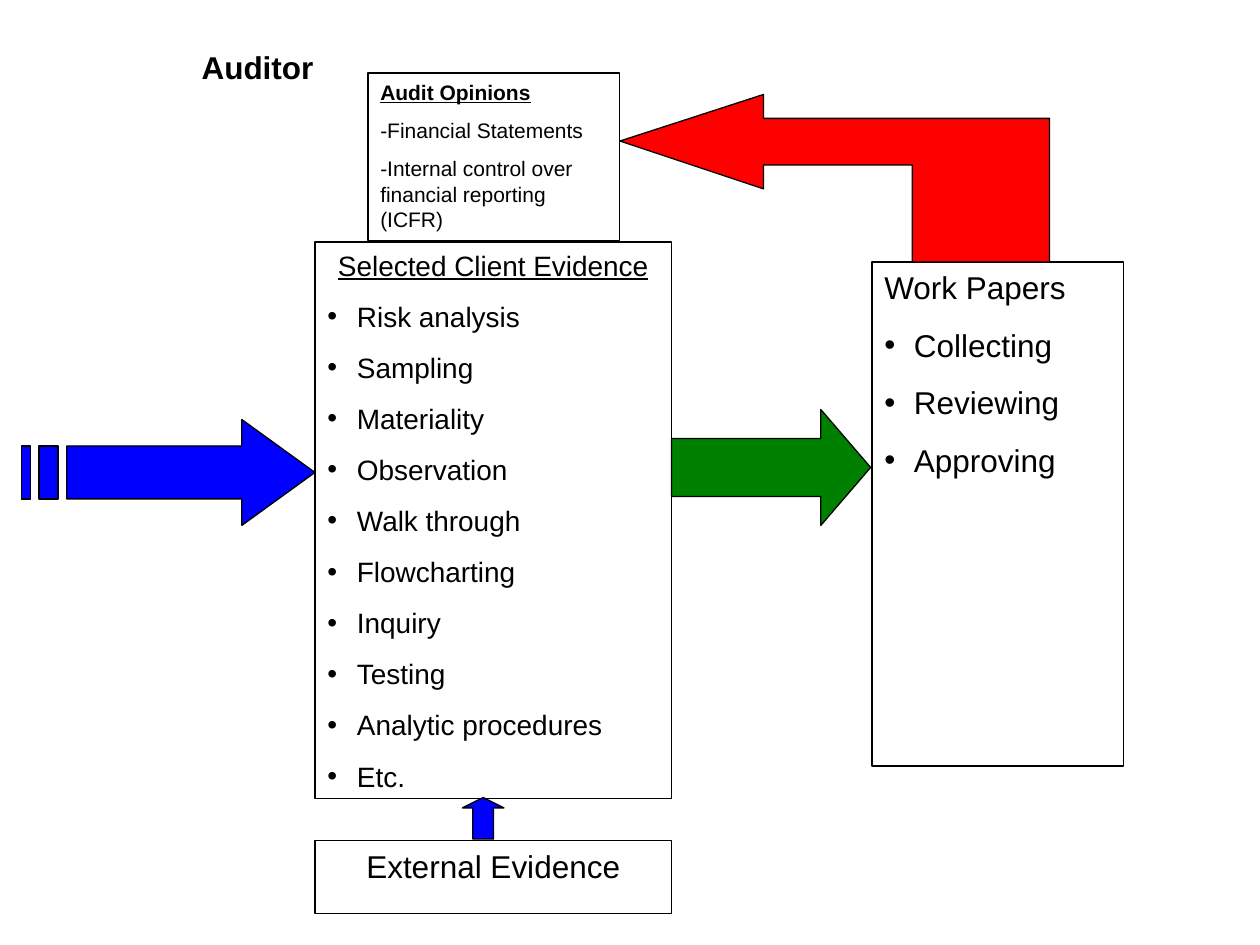
from lxml import etree
from pptx import Presentation
from pptx.dml.color import RGBColor
from pptx.enum.shapes import MSO_SHAPE
from pptx.enum.text import MSO_ANCHOR, MSO_AUTO_SIZE, PP_ALIGN
from pptx.oxml.ns import qn
from pptx.util import Inches, Pt

BLACK = RGBColor(0, 0, 0)
BLUE = RGBColor(0, 0, 255)
GREEN = RGBColor(0, 128, 0)
RED = RGBColor(255, 0, 0)
FONT = "Arial"
BULLET_INDENT = 0.235

# Content: each box has a heading, its plain or bulleted lines, and a place
TITLE = "Auditor"
BOXES = [
    dict(heading="Audit Opinions", place=(2.92, 0.58, 2, 1.33), size=12,
         bold=True, underline=True,
         lines=["-Financial Statements",
                "-Internal control over financial reporting (ICFR)"]),
    dict(heading="Selected Client Evidence", place=(2.5, 1.92, 2.83, 4.42),
         size=16, underline=True, align=PP_ALIGN.CENTER,
         bullets=["Risk analysis", "Sampling", "Materiality", "Observation",
                  "Walk through", "Flowcharting", "Inquiry", "Testing",
                  "Analytic procedures", "Etc."]),
    dict(heading="External Evidence", place=(2.5, 6.67, 2.83, 0.58), size=18,
         align=PP_ALIGN.CENTER),
    dict(heading="Work Papers", place=(6.92, 2.08, 2, 4), size=18,
         bullets=["Collecting", "Reviewing", "Approving"]),
]
BLOCK_ARROWS = [
    (MSO_SHAPE.UP_ARROW, (3.67, 6.33, 0.33, 0.33), (0.5, 0.25), BLUE),
    (MSO_SHAPE.RIGHT_ARROW, (5.33, 3.25, 1.58, 0.92), (0.5, 0.43), GREEN),
]

# Outlines of the striped arrow into the evidence and the bent arrow to the opinions
STRIPE_TOP, STRIPE_BOTTOM = 3.54, 3.96
STRIPED_ARROW = [
    [(1.92, 3.33), (1.92, STRIPE_TOP), (0.53, STRIPE_TOP),
     (0.53, STRIPE_BOTTOM), (1.92, STRIPE_BOTTOM), (1.92, 4.17), (2.5, 3.75)],
] + [
    [(left, STRIPE_TOP), (left, STRIPE_BOTTOM),
     (right, STRIPE_BOTTOM), (right, STRIPE_TOP)]
    for left, right in [(0.31, 0.46), (0.17, 0.24)]
]
BENT_ARROW = [
    [(4.92, 1.12), (6.06, 1.5), (6.06, 1.31), (7.24, 1.31), (7.24, 2.08),
     (8.33, 2.08), (8.33, 0.94), (6.06, 0.94), (6.06, 0.75)],
]


def style_shape(shape, fill=None):
    shape.shadow.inherit = False
    if fill is None:
        shape.fill.background()
    else:
        shape.fill.solid()
        shape.fill.fore_color.rgb = fill
    shape.line.color.rgb = BLACK
    shape.line.width = Pt(0.75)


def format_text(paragraph, size, bold=False, underline=False):
    for run in paragraph.runs:
        run.font.name = FONT
        run.font.size = Pt(size)
        run.font.bold = bold
        run.font.underline = underline
        run.font.color.rgb = BLACK


def add_bullet(paragraph):
    properties = paragraph._p.get_or_add_pPr()
    properties.set("marL", str(Inches(BULLET_INDENT)))
    properties.set("indent", str(-Inches(BULLET_INDENT)))
    etree.SubElement(properties, qn("a:buFont")).set("typeface", FONT)
    etree.SubElement(properties, qn("a:buChar")).set("char", "•")


def add_box(slide, box):
    shape = slide.shapes.add_shape(MSO_SHAPE.RECTANGLE, *map(Inches, box["place"]))
    style_shape(shape)
    frame = shape.text_frame
    frame.word_wrap = True
    frame.vertical_anchor = MSO_ANCHOR.TOP
    bullets = box.get("bullets", [])
    frame.text = "\n".join([box["heading"]] + box.get("lines", []) + bullets)
    heading, *items = frame.paragraphs
    heading.alignment = box.get("align", PP_ALIGN.LEFT)
    format_text(heading, box["size"], box.get("bold", False),
                box.get("underline", False))
    for item in items:
        item.alignment = PP_ALIGN.LEFT
        item.space_before = Pt(box["size"] * 0.625)
        if bullets:
            add_bullet(item)
        format_text(item, box["size"])


def add_outline(slide, contours, fill):
    first, *others = [[(Inches(x), Inches(y)) for x, y in contour]
                      for contour in contours]
    builder = slide.shapes.build_freeform(*first[0], scale=1.0)
    builder.add_line_segments(first[1:], close=True)
    for contour in others:
        builder.move_to(*contour[0])
        builder.add_line_segments(contour[1:], close=True)
    style_shape(builder.convert_to_shape(), fill)


def main():
    prs = Presentation()
    prs.slide_width, prs.slide_height = Inches(10), Inches(7.5)
    slide = prs.slides.add_slide(prs.slide_layouts[5])

    # Title
    title = slide.shapes.title
    title.left, title.top, title.width, title.height = map(
        Inches, (1.5, 0.33, 1.17, 0.4))
    frame = title.text_frame
    frame.text = TITLE
    frame.word_wrap = True
    frame.auto_size = MSO_AUTO_SIZE.NONE
    frame.vertical_anchor = MSO_ANCHOR.TOP
    frame.paragraphs[0].alignment = PP_ALIGN.LEFT
    format_text(frame.paragraphs[0], 18, bold=True)

    # Boxes
    for box in BOXES:
        add_box(slide, box)

    # Arrows
    for kind, place, adjustments, fill in BLOCK_ARROWS:
        arrow = slide.shapes.add_shape(kind, *map(Inches, place))
        for index, value in enumerate(adjustments):
            arrow.adjustments[index] = value
        style_shape(arrow, fill)
    add_outline(slide, STRIPED_ARROW, BLUE)
    add_outline(slide, BENT_ARROW, RED)

    prs.save("out.pptx")


if __name__ == "__main__":
    main()
